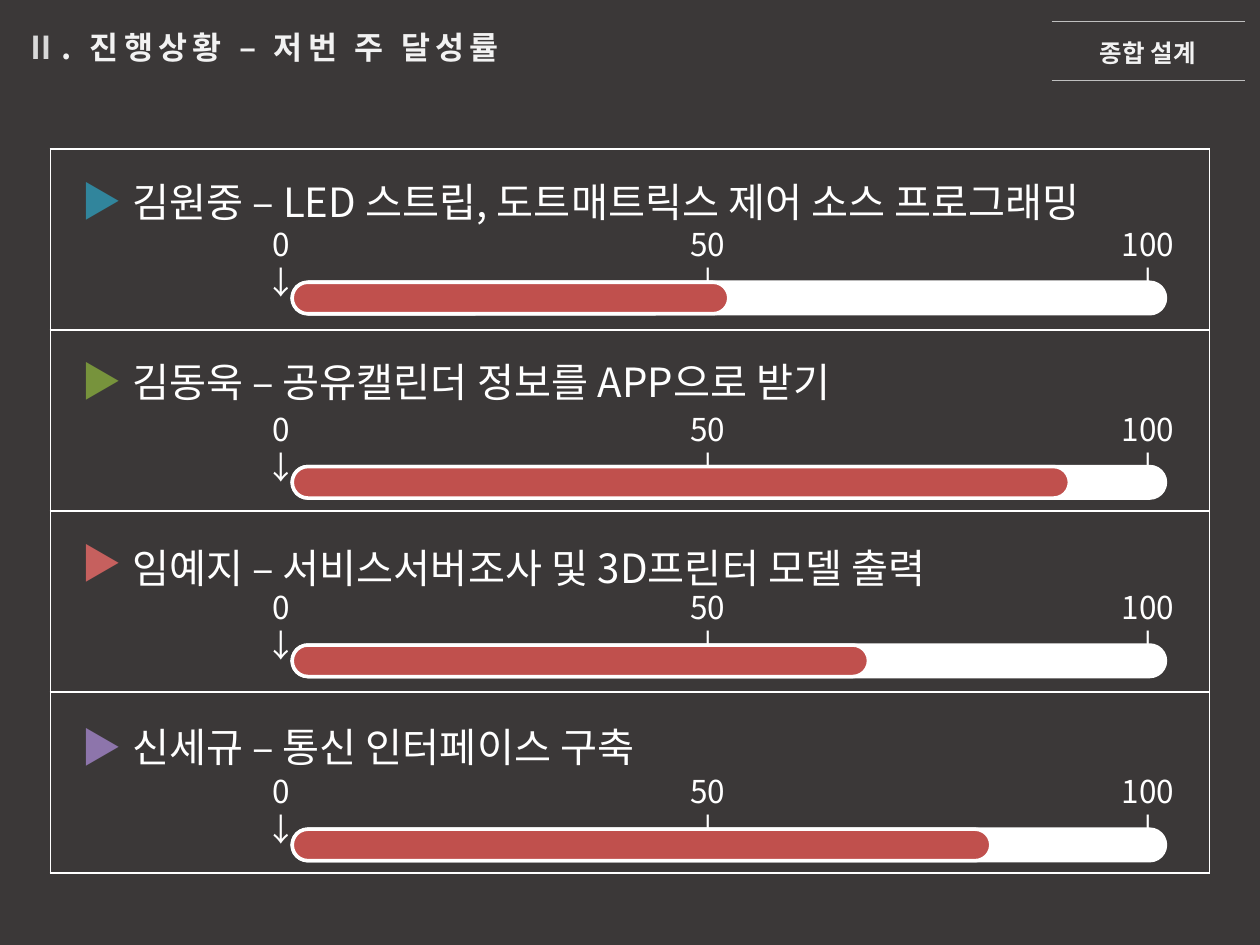
from lxml.etree import SubElement
from pptx import Presentation
from pptx.dml.color import RGBColor
from pptx.enum.shapes import MSO_CONNECTOR, MSO_SHAPE
from pptx.enum.text import MSO_ANCHOR, MSO_AUTO_SIZE, PP_ALIGN
from pptx.oxml import parse_xml
from pptx.oxml.ns import nsdecls, qn
from pptx.util import Pt

FONT = "Noto Sans CJK KR"
BACKGROUND = RGBColor(0x3B, 0x38, 0x38)
WHITE = RGBColor(0xFF, 0xFF, 0xFF)
OFF_WHITE = RGBColor(0xF2, 0xF2, 0xF2)
LIGHT_GRAY = RGBColor(0xD9, 0xD9, 0xD9)
RULE_GRAY = RGBColor(0xBF, 0xBF, 0xBF)
RED = RGBColor(0xC0, 0x50, 0x4D)
TEAL = RGBColor(0x31, 0x85, 0x9C)
GREEN = RGBColor(0x77, 0x93, 0x3C)
CORAL = RGBColor(0xC6, 0x60, 0x5E)
PURPLE = RGBColor(0x8D, 0x75, 0xAB)

# Task, marker colour, marker top, task top, scale top, share done
TASKS = [
    ("김원중 – LED 스트립, 도트매트릭스 제어 소스 프로그래밍", TEAL, 97.2, 97.9, 125.3, 0.5),
    ("김동욱 – 공유캘린더 정보를 APP으로 받기", GREEN, 200.2, 200.9, 230.6, 0.89),
    ("임예지 – 서비스서버조사 및 3D프린터 모델 출력", CORAL, 303.8, 306.7, 332.6, 0.66),
    ("신세규 – 통신 인터페이스 구축", PURPLE, 409, 409, 437.8, 0.8),
]
SCALE = [("0", 160.5), ("50", 404.5), ("100", 656)]
SCALE_WIDTH = 75.6
BAR_LEFT, BAR_WIDTH, BAR_HEIGHT = 167, 499, 18


def style_paragraph(paragraph, size, color, bold=False, align=PP_ALIGN.LEFT):
    paragraph.alignment = align
    font = paragraph.font
    font.size, font.bold, font.name = Pt(size), bold, FONT
    font.color.rgb = color
    SubElement(font._rPr, qn("a:ea"), typeface=FONT)


def add_text(left, top, width, height, lines, size, color, bold=False, align=PP_ALIGN.LEFT):
    box = slide.shapes.add_textbox(Pt(left), Pt(top), Pt(width), Pt(height))
    box.text_frame.word_wrap = True
    box.text_frame.text = "\n".join(lines)
    for paragraph in box.text_frame.paragraphs:
        style_paragraph(paragraph, size, color, bold, align)


presentation = Presentation()
presentation.slide_width, presentation.slide_height = Pt(720), Pt(540)
slide = presentation.slides.add_slide(presentation.slide_layouts[5])
slide.background.fill.solid()
slide.background.fill.fore_color.rgb = BACKGROUND

# Title
title = slide.shapes.title
title.left, title.top, title.width, title.height = Pt(7.2), Pt(12.2), Pt(367), Pt(29)
title.text_frame.auto_size = MSO_AUTO_SIZE.NONE
title.text_frame.vertical_anchor = MSO_ANCHOR.TOP
paragraph = title.text_frame.paragraphs[0]
style_paragraph(paragraph, 18, OFF_WHITE, bold=True)
for text, color in [("Ⅱ", LIGHT_GRAY), (". 진행상황 – 저번 주 달성률", OFF_WHITE)]:
    run = paragraph.add_run()
    run.text = text
    run.font.color.rgb = color
    run.font._rPr.set("spc", "300")

# Course label between two rules
add_text(612, 18, 88, 24.5, ["종합 설계"], 14, OFF_WHITE, True, PP_ALIGN.CENTER)
for y in (12.2, 46):
    rule = slide.shapes.add_connector(MSO_CONNECTOR.STRAIGHT, Pt(601), Pt(y), Pt(711.4), Pt(y))
    rule.line.color.rgb = RULE_GRAY
    rule.line.width = Pt(0.75)
    SubElement(rule._element.spPr, qn("a:effectLst"))

# Table frame, one row per task
table = slide.shapes.add_table(len(TASKS), 1, Pt(28.8), Pt(85), Pt(662.4), Pt(414)).table
table.first_row = table.horz_banding = False
for row in table.rows:
    cell = row.cells[0]
    cell.fill.background()
    for index, side in enumerate(("lnL", "lnR", "lnT", "lnB")):
        border = parse_xml(
            f'<a:{side} {nsdecls("a")} w="12700"><a:solidFill>'
            f'<a:srgbClr val="{WHITE}"/></a:solidFill></a:{side}>'
        )
        cell._tc.get_or_add_tcPr().insert(index, border)

# Tasks with marker, scale and progress bar
for task, color, marker_top, task_top, scale_top, share in TASKS:
    add_text(39.6, marker_top, 57, 35.3, ["▶"], 23, color)
    add_text(68.4, task_top, 611, 35.3, [task], 23, WHITE)
    for label, center in SCALE:
        add_text(center - SCALE_WIDTH / 2, scale_top, SCALE_WIDTH, 72.7,
                 [label, "↓"], 18, WHITE, align=PP_ALIGN.CENTER)
    for part, fill in [(1, WHITE), (share, RED)]:
        bar = slide.shapes.add_shape(MSO_SHAPE.ROUNDED_RECTANGLE, Pt(BAR_LEFT), Pt(scale_top + 36),
                                     Pt(BAR_WIDTH * part), Pt(BAR_HEIGHT))
        bar.adjustments[0] = 0.5
        bar.shadow.inherit = False
        bar.fill.solid()
        bar.fill.fore_color.rgb = fill
        bar.line.color.rgb = WHITE
        bar.line.width = Pt(2)

presentation.save("out.pptx")
